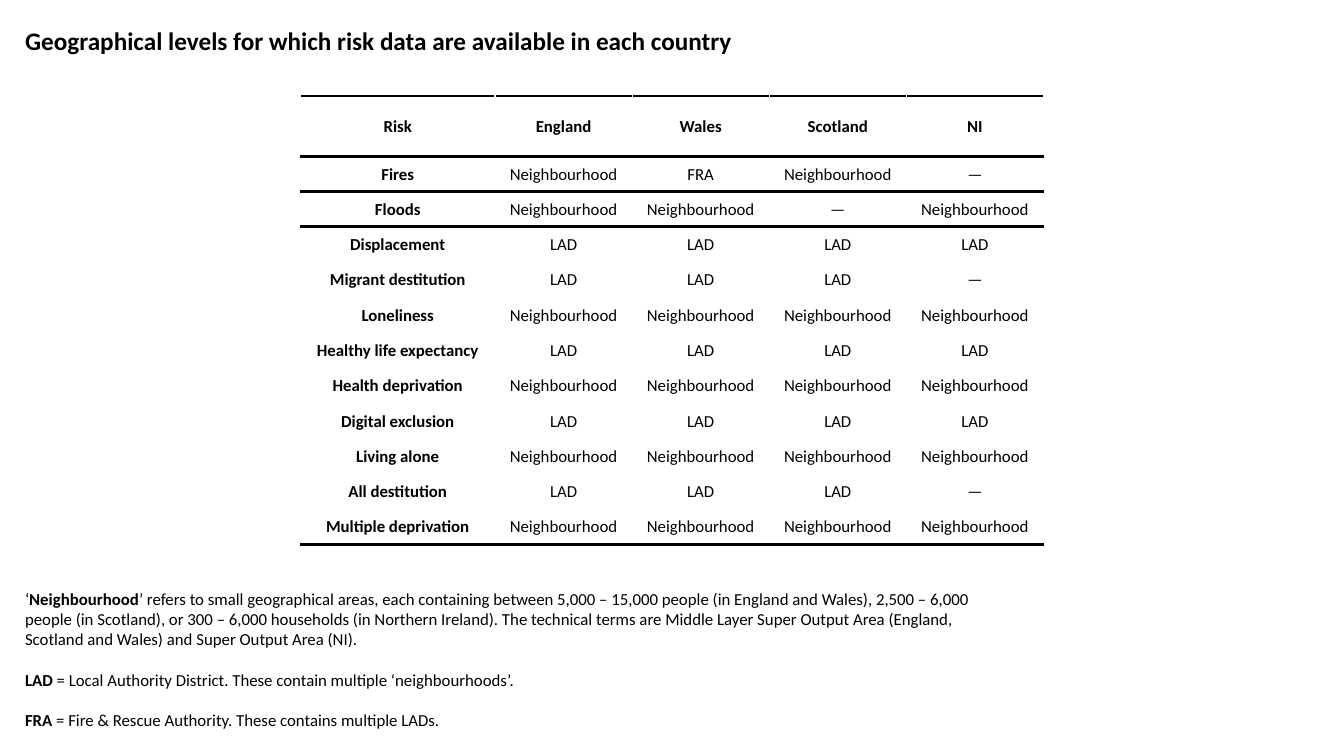
import pptx
import pptx.util
import pptx.dml.color
import pptx.enum.text
import pptx.oxml.ns
import lxml.etree

FONT, BLACK, WHITE = "Calibri", "000000", "FFFFFF"
AREA, LAD, FRA, NONE = "Neighbourhood", "LAD", "FRA", "—"

TITLE = "Geographical levels for which risk data are available in each country"
HEADER = ("Risk", "England", "Wales", "Scotland", "NI")
RISKS = [
    ("Fires", AREA, FRA, AREA, NONE),
    ("Floods", AREA, AREA, NONE, AREA),
    ("Displacement", LAD, LAD, LAD, LAD),
    ("Migrant destitution", LAD, LAD, LAD, NONE),
    ("Loneliness", AREA, AREA, AREA, AREA),
    ("Healthy life expectancy", LAD, LAD, LAD, LAD),
    ("Health deprivation", AREA, AREA, AREA, AREA),
    ("Digital exclusion", LAD, LAD, LAD, LAD),
    ("Living alone", AREA, AREA, AREA, AREA),
    ("All destitution", LAD, LAD, LAD, NONE),
    ("Multiple deprivation", AREA, AREA, AREA, AREA),
]
NOTES = [
    [("‘", False), (AREA, True),
     ("’ refers to small geographical areas, each containing between 5,000 – 15,000 people "
      "(in England and Wales), 2,500 – 6,000 people (in Scotland), or 300 – 6,000 households "
      "(in Northern Ireland). The technical terms are Middle Layer Super Output Area "
      "(England, Scotland and Wales) and Super Output Area (NI).", False)],
    [(LAD, True), (" = Local Authority District. These contain multiple ‘neighbourhoods’.", False)],
    [(FRA, True), (" = Fire & Rescue Authority. These contains multiple LADs.", False)],
]

ROWS = [HEADER] + RISKS
COLUMN_WIDTHS = [1.93] + [1.36] * (len(HEADER) - 1)
ROW_HEIGHTS = [0.6] + [0.35] * len(RISKS)
RULES = {0: 2, 1: 2.25, 2: 2.25, len(ROWS): 2}
LEFT_EDGE = 0.15

inches, points = pptx.util.Inches, pptx.util.Pt
PP_ALIGN = pptx.enum.text.PP_ALIGN
MSO_ANCHOR = pptx.enum.text.MSO_ANCHOR


def colour(value):
    return pptx.dml.color.RGBColor.from_string(value)


def add_run(paragraph, text, size=12, bold=False):
    run = paragraph.add_run()
    run.text = text
    run.font.name = FONT
    run.font.size = points(size)
    run.font.bold = bold
    run.font.color.rgb = colour(BLACK)


def add_rule(cell, side, width):
    properties = cell._tc.get_or_add_tcPr()
    line = lxml.etree.SubElement(properties, pptx.oxml.ns.qn("a:" + side), w=str(points(width)))
    fill = lxml.etree.SubElement(line, pptx.oxml.ns.qn("a:solidFill"))
    lxml.etree.SubElement(fill, pptx.oxml.ns.qn("a:srgbClr"), val=BLACK)


def fill_cell(cell, text, row, bold):
    for side, boundary in (("lnT", row), ("lnB", row + 1)):
        if boundary in RULES:
            add_rule(cell, side, RULES[boundary])
    cell.fill.solid()
    cell.fill.fore_color.rgb = colour(WHITE)
    cell.vertical_anchor = MSO_ANCHOR.MIDDLE
    cell.margin_left = cell.margin_right = cell.margin_top = inches(0.01)
    cell.margin_bottom = 0
    paragraph = cell.text_frame.paragraphs[0]
    paragraph.alignment = PP_ALIGN.CENTER
    add_run(paragraph, text, bold=bold)


presentation = pptx.Presentation()
presentation.slide_width = inches(13.33)
presentation.slide_height = inches(7.5)
slide = presentation.slides.add_slide(presentation.slide_layouts.get_by_name("Title Only"))

title = slide.shapes.title
title.left, title.top, title.width, title.height = map(inches, (LEFT_EDGE, 0.2, 8.59, 0.4))
title.text_frame.auto_size = pptx.enum.text.MSO_AUTO_SIZE.NONE
title.text_frame.vertical_anchor = MSO_ANCHOR.TOP
title.text_frame.paragraphs[0].alignment = PP_ALIGN.LEFT
add_run(title.text_frame.paragraphs[0], TITLE, size=18, bold=True)

table_width = sum(COLUMN_WIDTHS)
table = slide.shapes.add_table(
    len(ROWS), len(HEADER), inches((13.33 - table_width) / 2), inches(0.95),
    inches(table_width), inches(sum(ROW_HEIGHTS))).table
table.first_row = table.horz_banding = False
for column, width in zip(table.columns, COLUMN_WIDTHS):
    column.width = inches(width)
for row, (texts, height) in enumerate(zip(ROWS, ROW_HEIGHTS)):
    table.rows[row].height = inches(height)
    for column, text in enumerate(texts):
        fill_cell(table.cell(row, column), text, row, bold=row == 0 or column == 0)

notes = slide.shapes.add_textbox(*map(inches, (LEFT_EDGE, 5.79, 9.83, 1.51))).text_frame
notes.word_wrap = True
for index, runs in enumerate(NOTES):
    paragraph = notes.add_paragraph() if index else notes.paragraphs[0]
    paragraph.space_before = points(14.6 if index else 0)
    for text, bold in runs:
        add_run(paragraph, text, bold=bold)

presentation.save("out.pptx")
